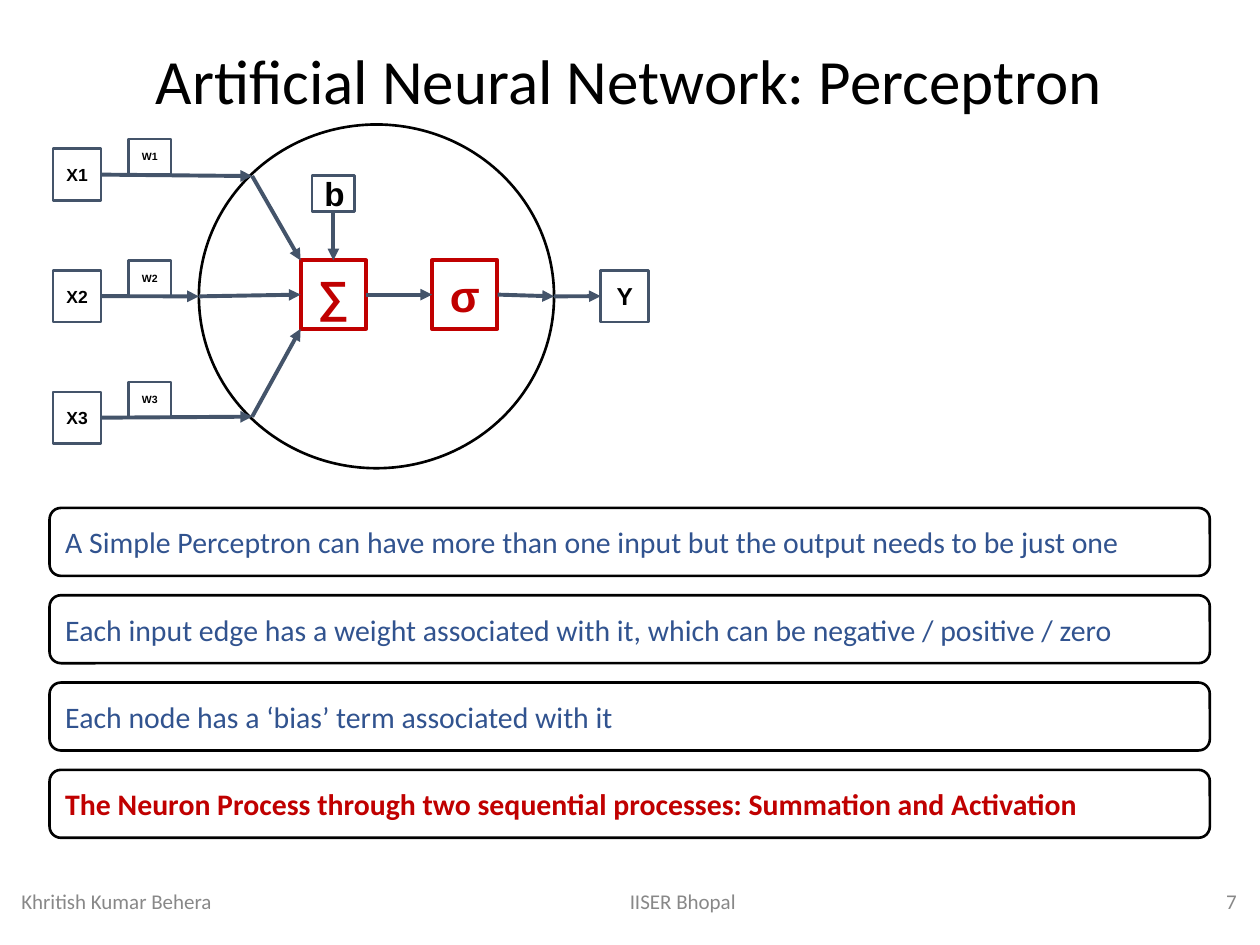
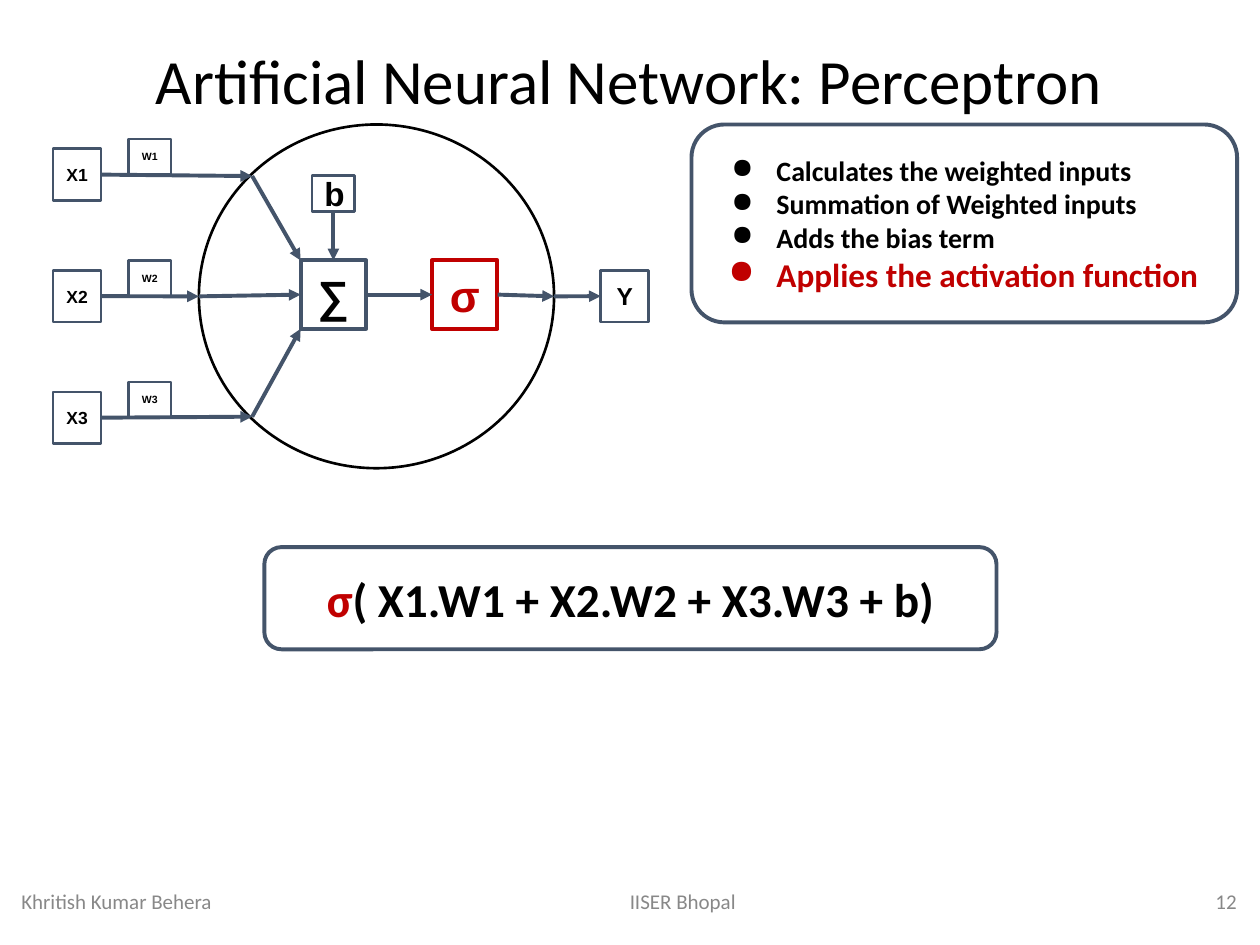
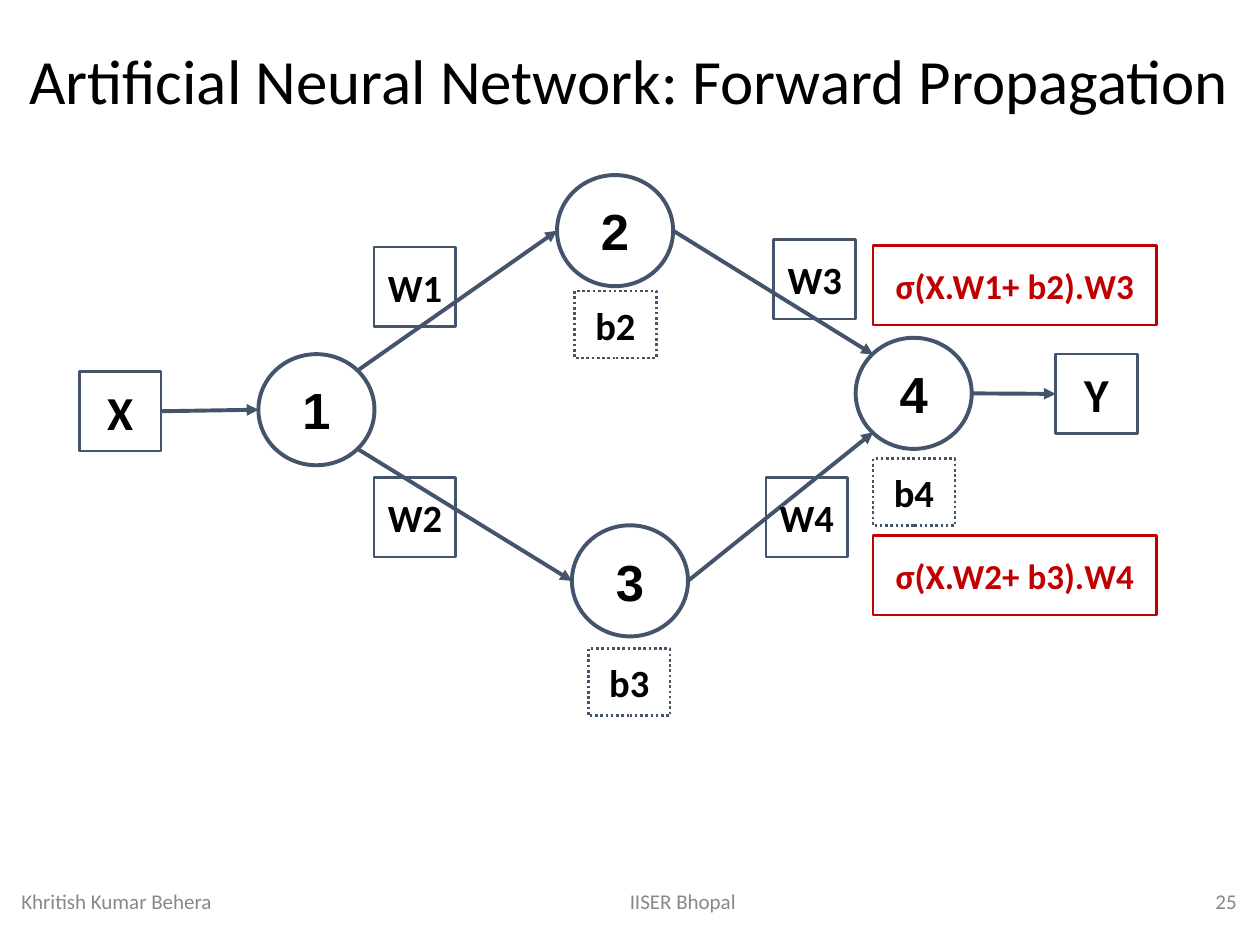
from lxml import etree
from pptx import Presentation
from pptx.dml.color import RGBColor
from pptx.enum.dml import MSO_LINE
from pptx.enum.shapes import MSO_CONNECTOR, MSO_SHAPE
from pptx.enum.text import MSO_ANCHOR, PP_ALIGN
from pptx.oxml.ns import qn
from pptx.util import Cm, Pt

RECT, ROUND, OVAL = MSO_SHAPE.RECTANGLE, MSO_SHAPE.ROUNDED_RECTANGLE, MSO_SHAPE.OVAL
STRAIGHT = MSO_CONNECTOR.STRAIGHT
DOT = MSO_LINE.ROUND_DOT
LEFT, CENTER, RIGHT = PP_ALIGN.LEFT, PP_ALIGN.CENTER, PP_ALIGN.RIGHT
ANCHOR_TOP, ANCHOR_MIDDLE = MSO_ANCHOR.TOP, MSO_ANCHOR.MIDDLE

BLACK, WHITE, SLATE, RED, BLUE, GREY = "000000", "FFFFFF", "44546A", "C00000", "31538F", "888888"
SANS, BODY = "Arial", "Calibri"

# Arrow ends, as fractions of a shape's width and height
N, W, S, E = (0.5, 0), (0, 0.5), (0.5, 1), (1, 0.5)
SITES = {N: 0, W: 1, S: 2, E: 3}
RIM_NW, RIM_SW = (0.15, 0.15), (0.15, 0.85)
RIM_NE, RIM_SE = (0.85, 0.15), (0.85, 0.85)
CORNER_NW, CORNER_SW = (0, 0), (0, 1)


def rgb(color):
    return RGBColor.from_string(color)


def style(r, size, color, font, bold):
    r.font.size, r.font.name, r.font.bold = Pt(size), font, bold
    r.font.color.rgb = rgb(color)


class Deck:
    def __init__(self):
        self.prs = Presentation()
        self.prs.slide_width, self.prs.slide_height = Cm(25.4), Cm(19.05)
        self.s = None

    def slide(self, title, number):
        """Start a slide with its title and footer."""
        self.s = self.prs.slides.add_slide(self.prs.slide_layouts[6])
        self.label(title, 0.18, 0.71, 25, 1.8, 36, BLACK, CENTER, ANCHOR_TOP)
        self.label("IISER Bhopal", 9.47, 17.66, 8.59, 1.01, 12, GREY, CENTER)
        self.label(str(number), 19.46, 17.66, 5.72, 1.01, 12, GREY, RIGHT)
        self.label("Khritish Kumar Behera", 0.18, 17.67, 8.59, 1.01, 12, GREY, LEFT)

    def set_text(self, sp, text, size, color, font, bold, align, anchor):
        tf = sp.text_frame
        tf.word_wrap, tf.vertical_anchor = True, anchor
        tf.text = text
        for p in tf.paragraphs:
            p.alignment = align
            for r in p.runs:
                style(r, size, color, font, bold)

    def label(self, text, x, y, w, h, size, color, align, anchor=ANCHOR_MIDDLE):
        sp = self.s.shapes.add_textbox(Cm(x), Cm(y), Cm(w), Cm(h))
        self.set_text(sp, text, size, color, BODY, False, align, anchor)

    def box(self, kind, x, y, w, h, text="", size=18, color=BLACK, line=SLATE, weight=1.5,
            font=BODY, bold=True, align=CENTER, fill=None, dash=None):
        sp = self.s.shapes.add_shape(kind, Cm(x), Cm(y), Cm(w), Cm(h))
        sp.shadow.inherit = False
        if fill:
            sp.fill.solid()
            sp.fill.fore_color.rgb = rgb(fill)
        else:
            sp.fill.background()
        sp.line.color.rgb, sp.line.width = rgb(line), Pt(weight)
        if dash:
            sp.line.dash_style = dash
        if text:
            tf = sp.text_frame
            tf.margin_left = tf.margin_right = tf.margin_top = tf.margin_bottom = Cm(0.25)
            self.set_text(sp, text, size, color, font, bold, align, ANCHOR_MIDDLE)
        return sp

    def arrow(self, start, start_at, end, end_at):
        ends = [(sp.left + int(sp.width * fx), sp.top + int(sp.height * fy))
                for sp, (fx, fy) in ((start, start_at), (end, end_at))]
        line = self.s.shapes.add_connector(STRAIGHT, *ends[0], *ends[1])
        if start.auto_shape_type == RECT and start_at in SITES:
            line.begin_connect(start, SITES[start_at])
        if end.auto_shape_type == RECT and end_at in SITES:
            line.end_connect(end, SITES[end_at])
        line.line.color.rgb, line.line.width = rgb(SLATE), Pt(2.25)
        spPr = line._element.spPr
        etree.SubElement(spPr.find(qn("a:ln")), qn("a:tailEnd"), type="triangle")
        etree.SubElement(spPr, qn("a:effectLst"))

    def bullet(self, p, color, indent):
        pPr = p._p.get_or_add_pPr()
        pPr.set("marL", str(Cm(1.27)))
        pPr.set("indent", str(-Cm(indent)))
        clr = etree.SubElement(pPr, qn("a:buClr"))
        etree.SubElement(clr, qn("a:srgbClr"), val=color)
        etree.SubElement(pPr, qn("a:buChar"), char="●")

    def perceptron(self, sum_color, sum_line):
        """Draw three weighted inputs, the neuron and its output."""
        neuron = self.box(OVAL, 4.01, 2.51, 7.16, 6.93, line=BLACK, fill=WHITE)
        total = self.box(RECT, 6.06, 5.25, 1.32, 1.38, "∑", 25, sum_color, sum_line, 2.25, SANS)
        sigma = self.box(RECT, 8.71, 5.25, 1.32, 1.38, "σ", 25, RED, RED, 2.25, SANS)
        bias = self.box(RECT, 6.29, 3.54, 0.86, 0.72, "b", 19, font=SANS)
        output = self.box(RECT, 12.11, 5.45, 0.97, 1.04, "Y", 14, font=SANS)
        entries = ((RIM_NW, CORNER_NW), (W, W), (RIM_SW, CORNER_SW))
        for i, (rim, target) in enumerate(entries):
            dy = 2.45 * i
            x = self.box(RECT, 1.07, 3 + dy, 0.97, 1.04, f"X{i + 1}", 10, font=SANS)
            self.box(RECT, 2.59, 2.8 + dy, 0.86, 0.72, f"W{i + 1}", 6, font=SANS)
            self.arrow(x, E, neuron, rim)
            self.arrow(neuron, rim, total, target)
        self.arrow(bias, S, total, N)
        self.arrow(total, E, sigma, W)
        self.arrow(sigma, E, neuron, E)
        self.arrow(neuron, E, output, W)


def perceptron_intro(deck):
    deck.slide("Artificial Neural Network: Perceptron", 7)
    deck.perceptron(RED, RED)
    facts = (
        ("A Simple Perceptron can have more than one input but the output needs to be just one", BLUE),
        ("Each input edge has a weight associated with it, which can be negative / positive / zero", BLUE),
        ("Each node has a ‘bias’ term associated with it", BLUE),
        ("The Neuron Process through two sequential processes: Summation and Activation", RED),
    )
    for i, (fact, color) in enumerate(facts):
        deck.box(ROUND, 1, 10.24 + 1.76 * i, 23.39, 1.37, fact, 17, color, BLACK,
                 bold=color == RED, align=LEFT)


def perceptron_activation(deck):
    deck.slide("Artificial Neural Network: Perceptron", 12)
    deck.perceptron(BLACK, SLATE)

    # Steps, the last one highlighted
    steps = ("Calculates the weighted inputs", "Summation of Weighted inputs",
             "Adds the bias term", "Applies the activation function")
    sp = deck.box(ROUND, 13.94, 2.51, 11, 3.99, "\n".join(steps), 16, weight=2.25, align=LEFT)
    *first, last = sp.text_frame.paragraphs
    for p in first:
        deck.bullet(p, BLACK, 0.91)
    deck.bullet(last, RED, 0.97)
    style(last.runs[0], 19, RED, BODY, True)

    # Formula
    sp = deck.box(ROUND, 5.33, 11.03, 14.76, 2.06, "σ", 27, RED, weight=2.25)
    r = sp.text_frame.paragraphs[0].add_run()
    r.text = "( X1.W1 + X2.W2 + X3.W3 + b)"
    style(r, 27, BLACK, BODY, True)


def forward_propagation(deck):
    deck.slide("Artificial Neural Network: Forward Propagation", 25)

    # Nodes, input and output
    corners = ((5.21, 7.14), (11.23, 3.53), (11.53, 10.59), (17.25, 6.81))
    n1, n2, n3, n4 = (deck.box(OVAL, x, y, 2.34, 2.24, str(i), 29, weight=2.25, font=SANS)
                      for i, (x, y) in enumerate(corners, 1))
    source = deck.box(RECT, 1.6, 7.49, 1.65, 1.6, "X", 27)
    output = deck.box(RECT, 21.28, 7.14, 1.65, 1.6, "Y", 27)

    # Edges
    for edge in ((source, E, n1, W), (n1, RIM_NE, n2, W), (n1, RIM_SE, n3, W),
                 (n2, E, n4, RIM_NW), (n3, E, n4, RIM_SW), (n4, E, output, W)):
        deck.arrow(*edge)

    # Weights, biases and weighted activations
    for text, x, y in (("W1", 7.54, 4.98), ("W2", 7.54, 9.63),
                       ("W3", 15.6, 4.83), ("W4", 15.44, 9.63)):
        deck.box(RECT, x, y, 1.65, 1.6, text, 22)
    for text, x, y in (("b2", 11.58, 5.87), ("b3", 11.86, 13.08), ("b4", 17.6, 9.25)):
        deck.box(RECT, x, y, 1.65, 1.35, text, 22, dash=DOT)
    for text, y in (("σ(X.W1+ b2).W3", 4.95), ("σ(X.W2+ b3).W4", 10.8)):
        deck.box(RECT, 17.6, y, 5.72, 1.6, text, 20, RED, RED)


def main():
    deck = Deck()
    perceptron_intro(deck)
    perceptron_activation(deck)
    forward_propagation(deck)
    deck.prs.save("out.pptx")


if __name__ == "__main__":
    main()
